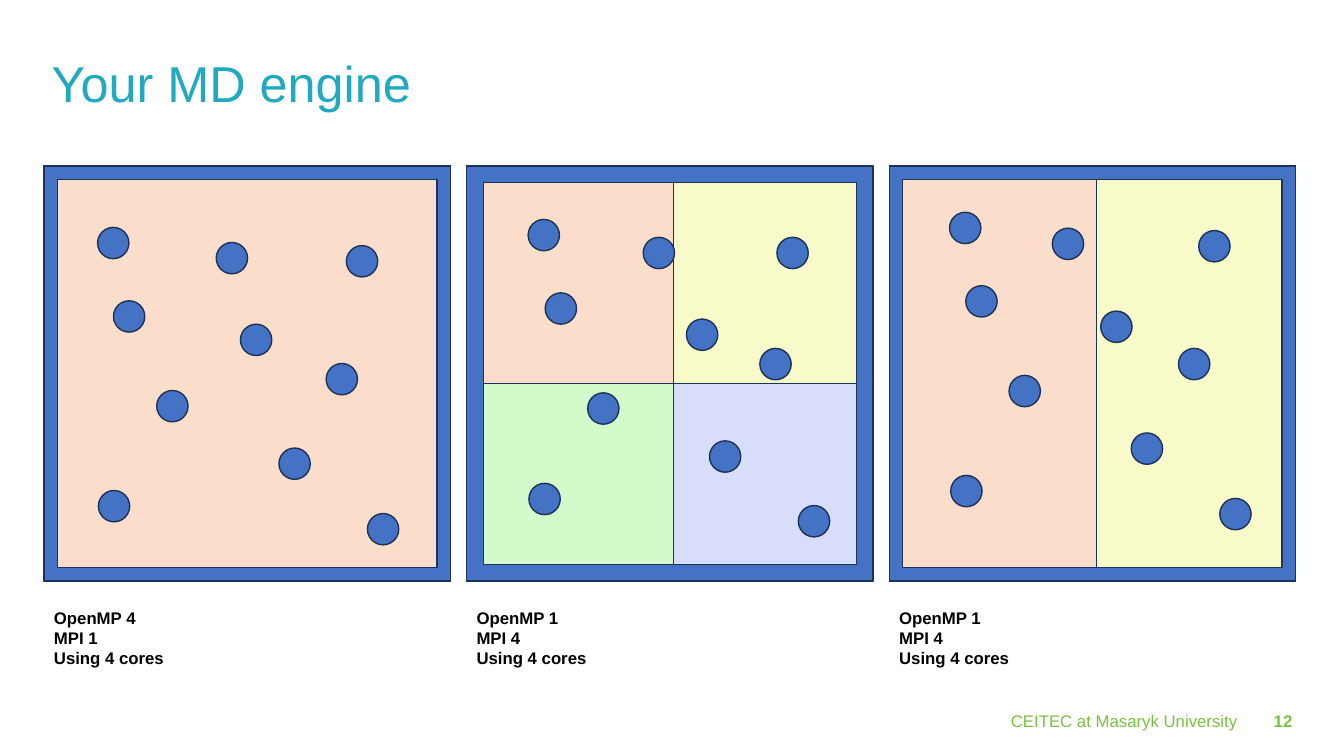
from lxml import etree
from pptx import Presentation
from pptx.dml.color import RGBColor
from pptx.enum import shapes, text
from pptx.oxml import ns
from pptx.util import Cm, Pt

TEAL = RGBColor(0x21, 0xA9, 0xC0)
LIME = RGBColor(0x7A, 0xC1, 0x43)
BLACK = RGBColor(0, 0, 0)
BLUE = RGBColor(0x44, 0x72, 0xC4)
NAVY = RGBColor(0x1E, 0x32, 0x56)
ORANGE = RGBColor(0xED, 0x7D, 0x31)
YELLOW = RGBColor(0xE9, 0xED, 0x2D)
GREEN = RGBColor(0x4C, 0xED, 0x2D)
VIOLET = RGBColor(0x64, 0x78, 0xED)

HEADING = "Your MD engine"
FOOTER = "CEITEC at Masaryk University"
PAGE = "12"

PANELS = [
    {
        "settings": ["OpenMP 4", "MPI 1", "Using 4 cores"],
        "domains": [[ORANGE]],
        "border": 0.033,
        "atoms": [(1.35, 1.55), (4.34, 1.93), (2.84, 5.66), (5.92, 7.11), (7.11, 4.98),
                  (7.62, 2.01), (1.37, 8.18), (8.15, 8.76), (4.95, 3.99), (1.75, 3.4)],
    },
    {
        "settings": ["OpenMP 1", "MPI 4", "Using 4 cores"],
        "domains": [[ORANGE, YELLOW], [GREEN, VIOLET]],
        "border": 0.041,
        "atoms": [(1.55, 1.35), (4.45, 1.8), (3.05, 5.72), (6.12, 6.93), (7.39, 4.6),
                  (7.82, 1.8), (1.57, 8), (8.36, 8.56), (5.54, 3.86), (1.98, 3.2)],
    },
    {
        "settings": ["OpenMP 1", "MPI 4", "Using 4 cores"],
        "domains": [[ORANGE, YELLOW]],
        "border": 0.033,
        "atoms": [(1.52, 1.17), (4.11, 1.57), (3.02, 5.28), (6.1, 6.73), (7.29, 4.6),
                  (7.8, 1.63), (1.55, 7.8), (8.33, 8.38), (5.33, 3.66), (1.93, 3.02)],
    },
]

PANEL_LEFT, PANEL_TOP, PANEL_PITCH = 1.11, 4.18, 10.65
PANEL_WIDTH, PANEL_HEIGHT = 10.24, 10.46
SPLIT_X, SPLIT_Y = 5.22, 5.48
ATOM = 0.79
SETTINGS_TOP, SETTINGS_HEIGHT = 15.19, 1.8
FOOTER_TOP, FOOTER_HEIGHT = 17.81, 0.61


def add_figure(slide, preset, left, top, width, height, color, alpha=None):
    figure = slide.shapes.add_shape(preset, Cm(left), Cm(top), Cm(width), Cm(height))
    figure.shadow.inherit = False
    figure.fill.solid()
    figure.fill.fore_color.rgb = color
    figure.line.color.rgb = NAVY
    figure.line.width = Pt(1)
    if alpha:
        paint = figure.fill._xPr.find(ns.qn("a:solidFill"))[0]
        etree.SubElement(paint, ns.qn("a:alpha")).set("val", str(alpha * 1000))
    return figure


def write(paragraph, words, size, color, bold=False):
    run = paragraph.add_run()
    run.text = words
    run.font.name = "Arial"
    run.font.size = Pt(size)
    run.font.bold = bold
    run.font.color.rgb = color


def clear_margins(frame):
    frame.margin_left = frame.margin_right = frame.margin_top = frame.margin_bottom = 0


def add_heading(slide):
    heading = slide.shapes.title
    heading.left, heading.top, heading.width, heading.height = Cm(1.3), Cm(1.02), Cm(31.27), Cm(2.29)
    frame = heading.text_frame
    clear_margins(frame)
    frame.vertical_anchor = text.MSO_ANCHOR.MIDDLE
    paragraph = frame.paragraphs[0]
    paragraph.alignment = text.PP_ALIGN.LEFT
    paragraph.line_spacing = 0.9
    write(paragraph, HEADING, 36, TEAL)


def add_footer(slide, words, left, width, bold):
    footer = slide.shapes.add_textbox(Cm(left), Cm(FOOTER_TOP), Cm(width), Cm(FOOTER_HEIGHT))
    frame = footer.text_frame
    frame.word_wrap = True
    clear_margins(frame)
    frame.vertical_anchor = text.MSO_ANCHOR.BOTTOM
    frame.paragraphs[0].alignment = text.PP_ALIGN.RIGHT
    write(frame.paragraphs[0], words, 12, LIME, bold)


def spans(count, split, total):
    return [(0, total)] if count == 1 else [(0, split), (split, total - split)]


def add_panel(slide, panel, left):
    rows = spans(len(panel["domains"]), SPLIT_Y, PANEL_HEIGHT)
    for colors, (y, height) in zip(panel["domains"], rows):
        columns = spans(len(colors), SPLIT_X, PANEL_WIDTH)
        for color, (x, width) in zip(colors, columns):
            add_figure(slide, shapes.MSO_SHAPE.RECTANGLE, left + x, PANEL_TOP + y,
                       width, height, color, alpha=25)

    border = add_figure(slide, shapes.MSO_SHAPE.FRAME, left, PANEL_TOP,
                        PANEL_WIDTH, PANEL_HEIGHT, BLUE)
    border.adjustments[0] = panel["border"]

    for x, y in panel["atoms"]:
        add_figure(slide, shapes.MSO_SHAPE.OVAL, left + x, PANEL_TOP + y, ATOM, ATOM, BLUE)

    settings = slide.shapes.add_textbox(Cm(left), Cm(SETTINGS_TOP),
                                        Cm(PANEL_WIDTH), Cm(SETTINGS_HEIGHT))
    frame = settings.text_frame
    frame.word_wrap = True
    frame.auto_size = text.MSO_AUTO_SIZE.SHAPE_TO_FIT_TEXT
    for i, setting in enumerate(panel["settings"]):
        paragraph = frame.add_paragraph() if i else frame.paragraphs[0]
        write(paragraph, setting, 12, BLACK, bold=True)


def main():
    deck = Presentation()
    deck.slide_width, deck.slide_height = Cm(33.87), Cm(19.05)
    slide = deck.slides.add_slide(deck.slide_layouts.get_by_name("Title Only"))
    add_heading(slide)
    for i, panel in enumerate(PANELS):
        add_panel(slide, panel, PANEL_LEFT + i * PANEL_PITCH)
    add_footer(slide, FOOTER, 9.27, 21.92, bold=False)
    add_footer(slide, PAGE, 31.17, 1.4, bold=True)
    deck.save("out.pptx")


if __name__ == "__main__":
    main()
